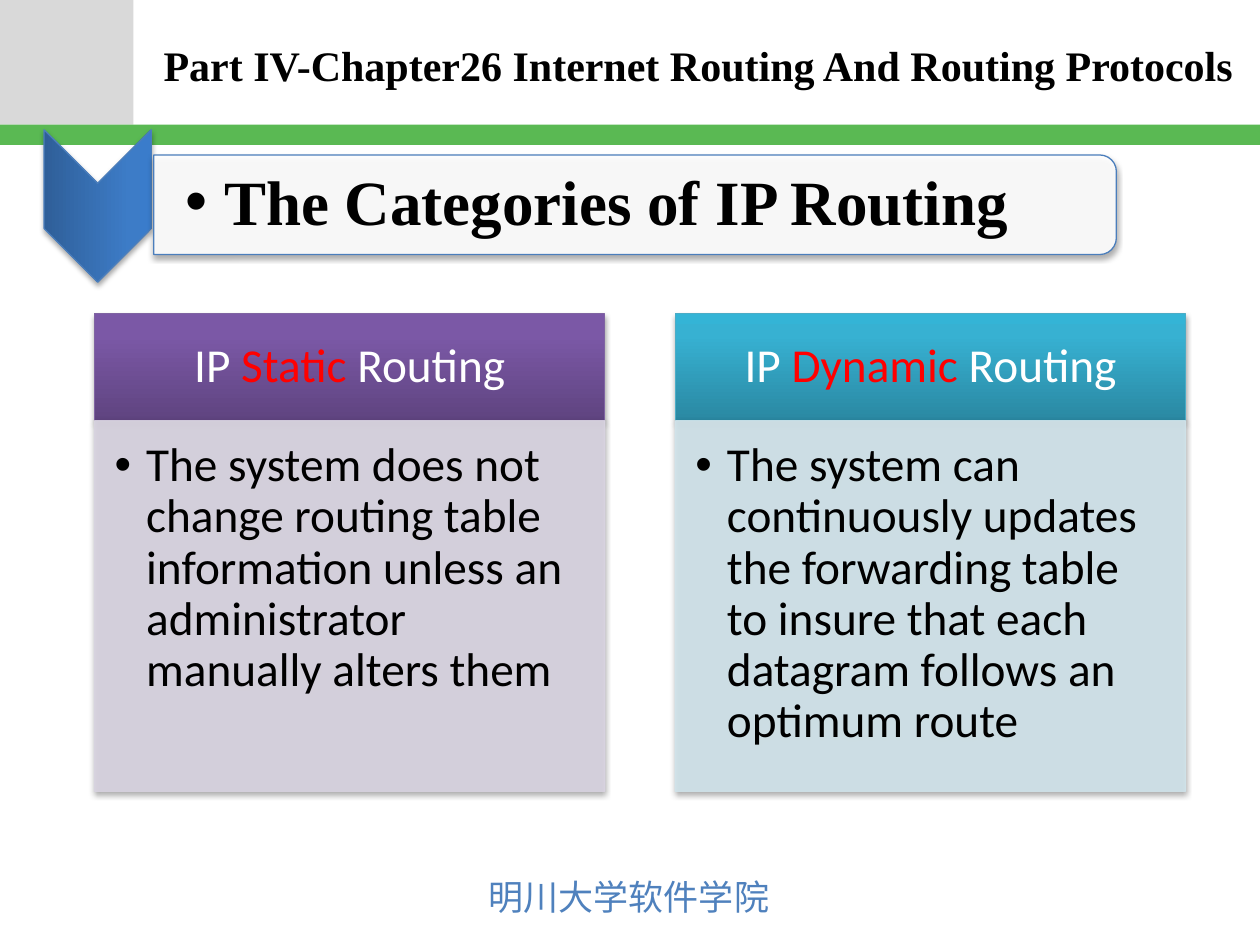
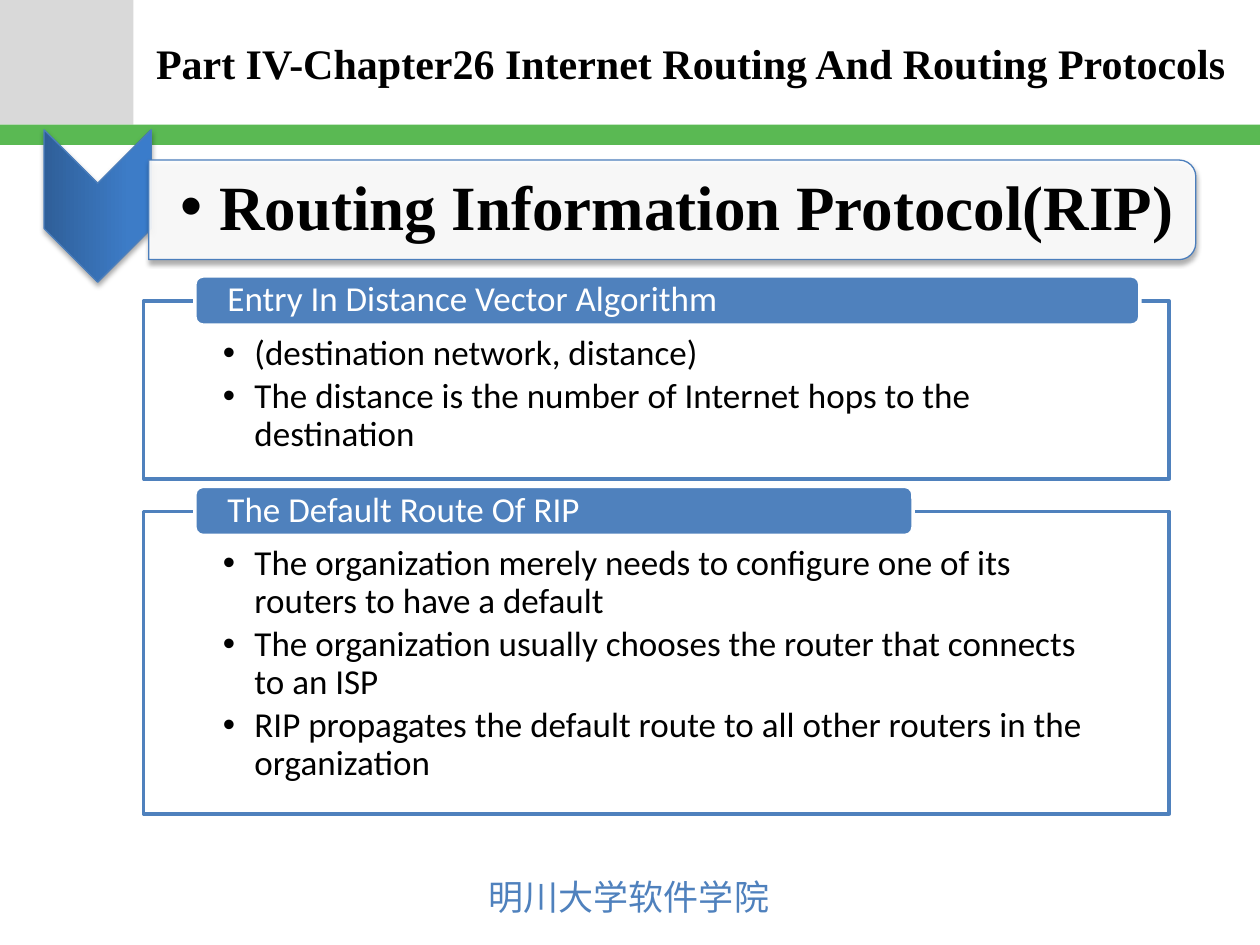
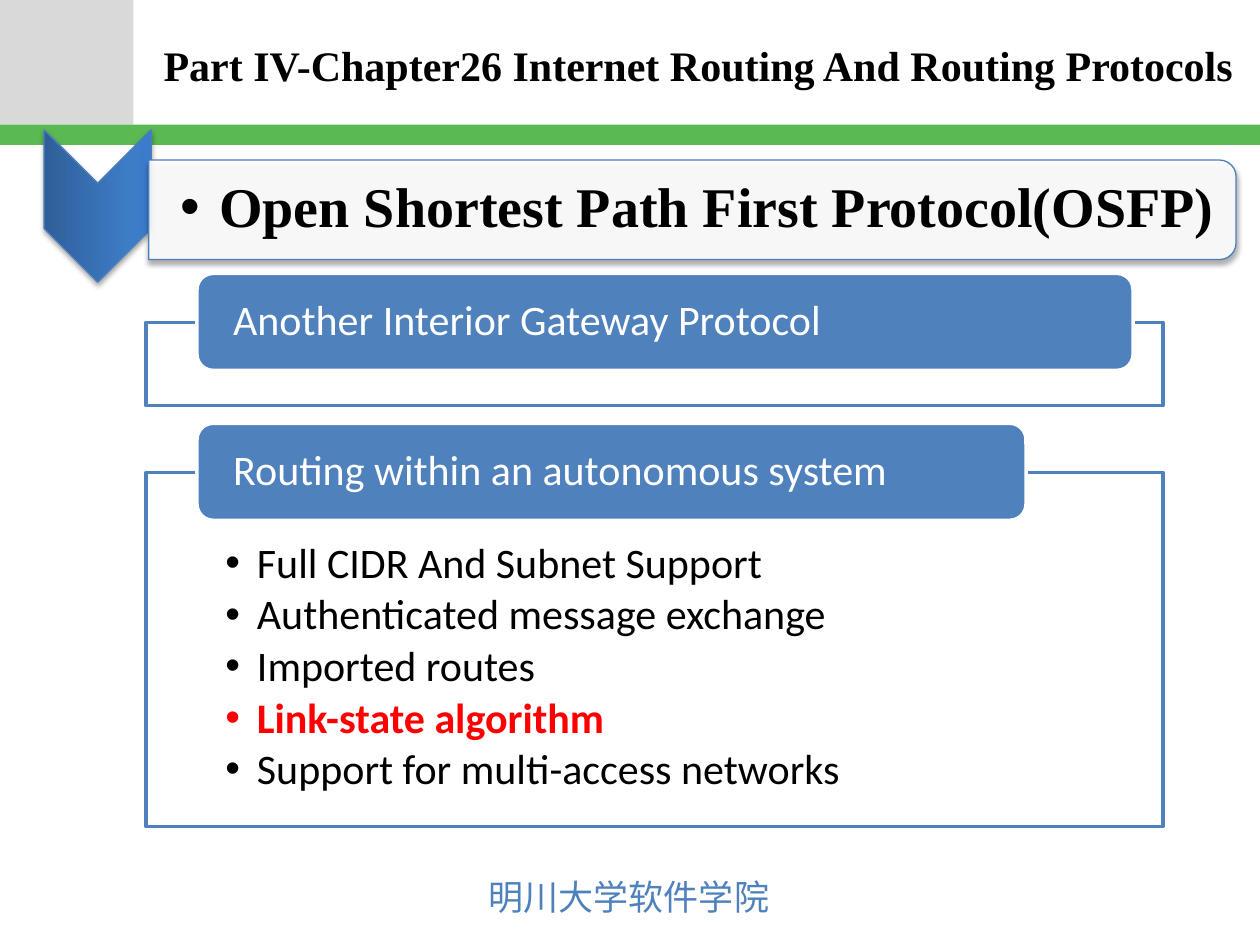
from dataclasses import dataclass

from pptx import Presentation
from pptx.dml.color import RGBColor
from pptx.enum.shapes import MSO_SHAPE as Shape
from pptx.enum.text import MSO_ANCHOR as Anchor, PP_ALIGN as Align
from pptx.oxml import parse_xml
from pptx.oxml.ns import nsdecls
from pptx.util import Inches, Pt


@dataclass(frozen=True)
class Theme:
    black: str = "000000"
    white: str = "FFFFFF"
    red: str = "FF0000"
    blue: str = "4F81BD"
    edge: str = "4B7EBC"
    corner: str = "D9D9D9"
    band: str = "5AB953"
    chevron: tuple = ("2F5F99", "3D7CC7", "3A7CCB")
    purple: tuple = ("5F4480", "7B58A6", "7C57A8")
    teal: tuple = ("2A88A2", "37B1D2", "34B4D6")
    body_font: str = "Calibri"
    title_font: str = "Times New Roman"
    footer_font: str = "Noto Sans CJK JP"
    title_size: int = 24
    panel_size: int = 27
    footer_size: int = 20
    thin: float = 0.75
    thick: float = 2


THEME = Theme()
TITLE = "Part IV-Chapter26 Internet Routing And Routing Protocols"
FOOTER = "明川大学软件学院"
RED = {"color": THEME.red}
RED_BOLD = {"color": THEME.red, "bold": True}

# A paragraph is a list of (text, format changes) spans.
PANELS = [
    {"head": [("IP ", {}), ("Static", RED), (" Routing", {})],
     "body": "The system does not change routing table information unless "
             "an administrator manually alters them",
     "gradient": THEME.purple, "edge": "8064A2", "tint": "D8D3E0"},
    {"head": [("IP ", {}), ("Dynamic", RED), (" Routing", {})],
     "body": "The system can continuously updates the forwarding table to "
             "insure that each datagram follows an optimum route",
     "gradient": THEME.teal, "edge": "4BACC6", "tint": "D0E3EA"},
]

RIP_SECTIONS = [
    {"head": "Entry In Distance Vector Algorithm", "bar": 7.5, "height": 1.41,
     "points": [[("(destination network, distance)", {})],
                [("The distance is the number of Internet hops to the destination", {})]]},
    {"head": "The Default Route Of RIP", "bar": 5.7, "height": 2.4,
     "points": [[("The organization merely needs to configure one of its "
                  "routers to have a default", {})],
                [("The organization usually chooses the router that connects to an ISP", {})],
                [("RIP propagates the default route to all other routers in "
                  "the organization", {})]]},
]
RIP_LAYOUT = {"left": 1.14, "top": 2.19, "width": 8.14, "bar_height": 0.39,
              "overlap": 0.2, "gap": 0.06, "size": 20, "body_inset": 0.27, "bar_inset": 0.24}

OSPF_SECTIONS = [
    {"head": "Another Interior Gateway Protocol", "bar": 7.43, "height": 0.66, "points": []},
    {"head": "Routing within an autonomous system", "bar": 6.58, "height": 2.81,
     "points": [[("Full CIDR And Subnet Support", {})],
                [("Authenticated message exchange", {})],
                [("Imported routes", {})],
                [("Link-state algorithm", RED_BOLD)],
                [("Support for multi-access networks", {})]]},
]
OSPF_LAYOUT = {"left": 1.16, "top": 2.17, "width": 8.07, "bar_height": 0.77,
               "overlap": 0.39, "gap": 0.14, "size": 24, "body_inset": 0.55, "bar_inset": 0.25}


def element(markup):
    """Build a DrawingML element from markup such as 'a:buChar char="•"/'."""
    name, _, rest = markup.partition(" ")
    return parse_xml(f"<{name} {nsdecls('a')} {rest}>")


def add_shadow(shape):
    shape._element.spPr.append(element(
        f'a:effectLst ><a:outerShdw blurRad="{Pt(3.1)}" dist="{Pt(1.8)}" dir="5400000" '
        f'rotWithShape="0"><a:srgbClr val="{THEME.black}"><a:alpha val="35000"/>'
        '</a:srgbClr></a:outerShdw></a:effectLst'))


def fill_gradient(shape, colors):
    """Run three colours from the foot of the shape to its head."""
    stops = "".join(f'<a:gs pos="{place}"><a:srgbClr val="{color}"/></a:gs>'
                    for place, color in zip((0, 80000, 100000), colors))
    shape._element.spPr.prstGeom.addnext(element(
        f'a:gradFill rotWithShape="1"><a:gsLst>{stops}</a:gsLst>'
        '<a:lin ang="16200000" scaled="0"/></a:gradFill'))


def set_alpha(fill, percent):
    color = fill._xPr.solidFill[0]
    color.append(element(f'a:alpha val="{percent * 1000}"/'))


def add_block(page, kind, box, fill, line=None, width=THEME.thin, alpha=None,
              shadow=False, turn=0):
    """Add a preset shape; fill is one colour or a tuple of gradient colours."""
    shape = page.shapes.add_shape(kind, *map(Inches, box))
    shape.rotation = turn
    if isinstance(fill, tuple):
        fill_gradient(shape, fill)
    else:
        shape.fill.solid()
        shape.fill.fore_color.rgb = RGBColor.from_string(fill)
        if alpha:
            set_alpha(shape.fill, alpha)
    if line:
        shape.line.color.rgb = RGBColor.from_string(line)
        shape.line.width = Pt(width)
    else:
        shape.line.fill.background()
    if shadow:
        add_shadow(shape)
    else:
        shape.shadow.inherit = False
    return shape


def turned(left, top, width, height):
    """Give the unrotated box that covers this area after a quarter turn."""
    shift = (width - height) / 2
    return left + shift, top - shift, height, width


def write(shape, paragraphs, size, color=THEME.black, font=THEME.body_font, bold=False,
          insets=(0.1, 0.05, 0.1, 0.05), anchor=Anchor.MIDDLE, align=Align.LEFT,
          line_spacing=None, after=0, bullet_indent=0, wrap=True):
    frame = shape.text_frame
    margins = zip(("left", "top", "right", "bottom"), insets)
    settings = {f"margin_{side}": Inches(inset) for side, inset in margins}
    for name, value in {**settings, "word_wrap": wrap, "vertical_anchor": anchor}.items():
        setattr(frame, name, value)
    for index, spans in enumerate(paragraphs):
        para = frame.add_paragraph() if index else frame.paragraphs[0]
        para.alignment = align
        para.line_spacing = line_spacing
        props = para._p.get_or_add_pPr()
        if after:
            props.append(element(f'a:spcAft ><a:spcPct val="{after * 1000}"/></a:spcAft'))
        if bullet_indent:
            props.set("marL", str(Inches(bullet_indent)))
            props.set("indent", str(-Inches(bullet_indent)))
            props.append(element('a:buFont typeface="Arial"/'))
            props.append(element('a:buChar char="•"/'))
        for text, changes in spans:
            look = {"color": color, "bold": bold, **changes}
            span = para.add_run()
            span.text = text
            for name, value in {"name": font, "size": Pt(size), "bold": look["bold"]}.items():
                setattr(span.font, name, value)
            span.font.color.rgb = RGBColor.from_string(look["color"])
            span.font._rPr.append(element(f'a:ea typeface="{font}"/'))


def add_text(page, box, text, size, **options):
    shape = page.shapes.add_textbox(*map(Inches, box))
    write(shape, [[(text, {})]], size, **options)


def start_page(deck, title_box, heading, heading_size, left, top, width):
    """Add a page with the shared header, footer and heading banner."""
    page = deck.slides.add_slide(deck.slide_layouts[6])
    add_block(page, Shape.RECTANGLE, (0, 0, 1.06, 0.99), THEME.corner)
    add_block(page, Shape.RECTANGLE, (0, 0.99, 10, 0.16), THEME.band)
    add_text(page, (3.78, 6.9, 2.45, 0.44), FOOTER, THEME.footer_size, color=THEME.blue,
             font=THEME.footer_font, anchor=Anchor.TOP, wrap=False)
    add_text(page, title_box, TITLE, THEME.title_size, font=THEME.title_font, bold=True)
    add_block(page, Shape.CHEVRON, turned(0.35, 1.03, 0.85, 1.21), THEME.chevron,
              THEME.edge, shadow=True, turn=90)
    add_block(page, Shape.ROUND_2_SAME_RECTANGLE, turned(left, top, width, 0.79),
              THEME.white, THEME.edge, alpha=90, shadow=True, turn=90)
    add_text(page, (left, top + 0.04, width - 0.04, 0.71), heading, heading_size,
             font=THEME.title_font, bold=True, insets=(0.25, 0.02, 0.02, 0.02),
             line_spacing=0.9, after=15, bullet_indent=0.31)
    return page


def add_panels(page, panels):
    """Place the headed panels side by side."""
    left, top, width, pitch, head_height, body_height = 0.75, 2.49, 4.05, 4.61, 0.85, 2.94
    for index, panel in enumerate(panels):
        x = left + index * pitch
        head = add_block(page, Shape.RECTANGLE, (x, top, width, head_height),
                         panel["gradient"], panel["edge"], shadow=True)
        write(head, [panel["head"]], THEME.panel_size, color=THEME.white, align=Align.CENTER,
              insets=(0.21, 0.12, 0.21, 0.12), line_spacing=0.9, after=35)
        body = add_block(page, Shape.RECTANGLE, (x, top + head_height, width, body_height),
                         panel["tint"], panel["tint"], alpha=90, shadow=True)
        set_alpha(body.line.fill, 90)
        write(body, [[(panel["body"], {})]], THEME.panel_size, anchor=Anchor.TOP,
              insets=(0.16, 0.16, 0.21, 0.24), line_spacing=0.9, after=15, bullet_indent=0.25)


def add_sections(page, sections, layout):
    """Stack framed lists, each with a title bar over its top edge."""
    left, width, size = layout["left"], layout["width"], layout["size"]
    top = layout["top"]
    for section in sections:
        frame_top = top + layout["overlap"]
        frame = add_block(page, Shape.RECTANGLE, (left, frame_top, width, section["height"]),
                          THEME.white, THEME.blue, THEME.thick, alpha=90)
        write(frame, section["points"], size, anchor=Anchor.TOP, line_spacing=0.9, after=15,
              insets=(0.63, layout["body_inset"], 0.63, 0.16), bullet_indent=0.25)
        bar_box = (left + 0.05 * width, top, section["bar"], layout["bar_height"])
        bar = add_block(page, Shape.ROUNDED_RECTANGLE, bar_box, THEME.blue,
                        THEME.white, THEME.thick)
        write(bar, [[(section["head"], {})]], size, color=THEME.white, line_spacing=0.9,
              after=35, insets=(layout["bar_inset"], 0, layout["bar_inset"], 0))
        top = frame_top + section["height"] + layout["gap"]


def main():
    deck = Presentation()
    deck.slide_width, deck.slide_height = Inches(10), Inches(7.5)

    page = start_page(deck, (1.2, 0.02, 8.76, 0.98), "The Categories of IP Routing", 36,
                      left=1.22, top=1.23, width=7.64)
    add_panels(page, PANELS)

    page = start_page(deck, (1.14, 0.01, 8.74, 0.98), "Routing Information Protocol(RIP)", 36,
                      left=1.18, top=1.27, width=8.31)
    add_sections(page, RIP_SECTIONS, RIP_LAYOUT)

    page = start_page(deck, (1.2, 0.02, 8.8, 0.98), "Open Shortest Path First Protocol(OSFP)",
                      32, left=1.18, top=1.27, width=8.63)
    add_sections(page, OSPF_SECTIONS, OSPF_LAYOUT)

    deck.save("out.pptx")


if __name__ == "__main__":
    main()
